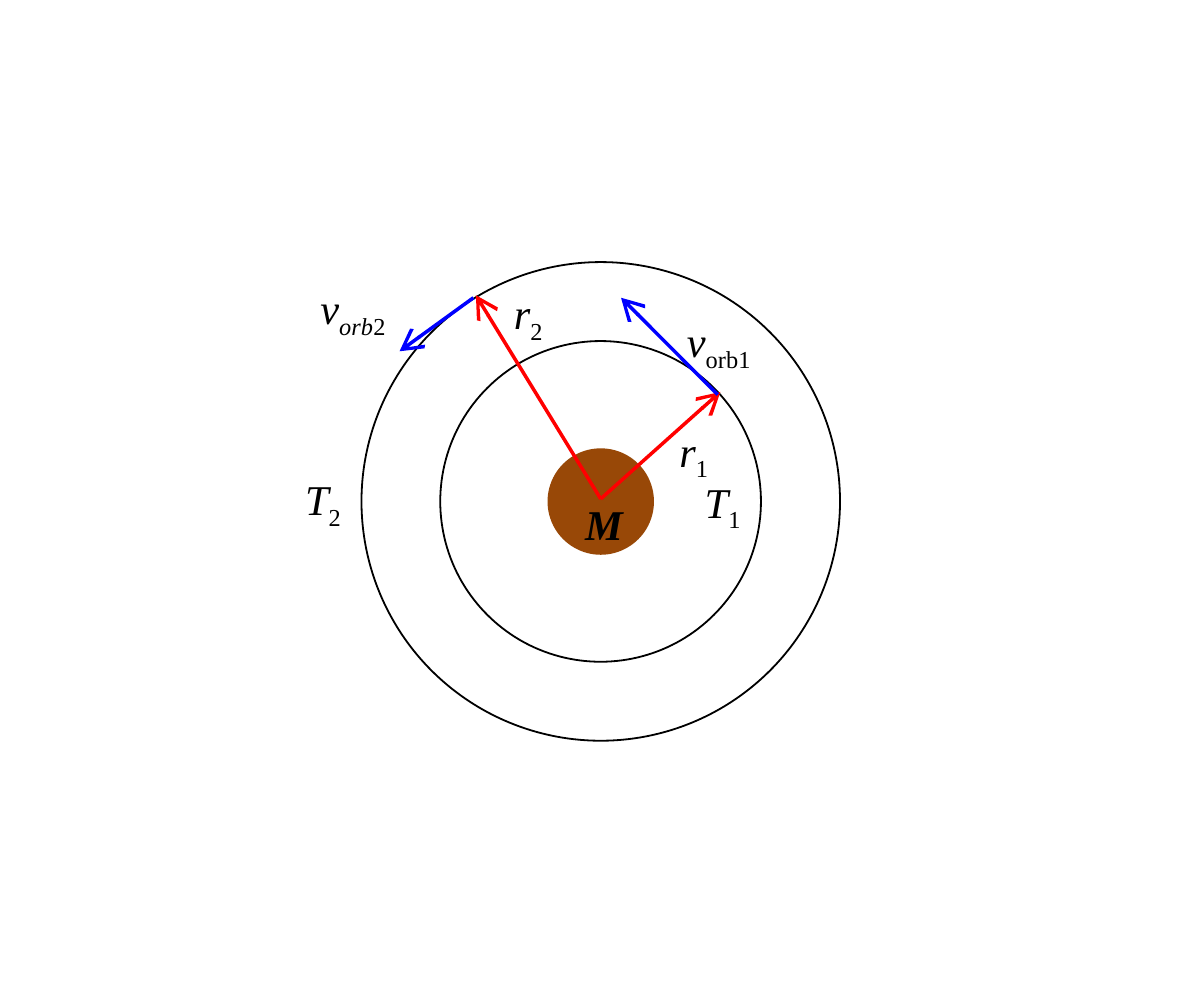
from dataclasses import dataclass

from lxml.etree import SubElement
from pptx import Presentation
from pptx.dml.color import RGBColor
from pptx.enum.shapes import MSO_CONNECTOR, MSO_SHAPE
from pptx.enum.text import MSO_AUTO_SIZE
from pptx.oxml.ns import qn
from pptx.slide import Slide
from pptx.util import Inches, Pt

COLORS = {"planet": "984807", "orbit": "000000", "text": "000000",
          "radius": "FF0000", "velocity": "0000FF"}
FONT_NAME = "Times New Roman"
CENTER = (2.36, 1.97)
LABEL_HEIGHT = 0.3


@dataclass(frozen=True)
class Circle:
    diameter: float
    color: str
    line_width: float
    filled: bool = False


@dataclass(frozen=True)
class Arrow:
    start: tuple[float, float]
    end: tuple[float, float]
    color: str


@dataclass(frozen=True)
class Label:
    left: float
    top: float
    width: float
    symbol: str
    italic_subscript: str = ""
    subscript: str = ""
    bold: bool = False


CIRCLES = [
    Circle(0.39, "planet", 2, filled=True),
    Circle(1.26, "orbit", 0.5),
    Circle(1.88, "orbit", 0.5),
]
RADIUS_ORIGIN = (2.36, 1.96)
ARROWS = [
    Arrow(RADIUS_ORIGIN, (2.83, 1.54), "radius"),
    Arrow(RADIUS_ORIGIN, (1.87, 1.16), "radius"),
    Arrow((2.82, 1.55), (2.44, 1.17), "velocity"),
    Arrow((1.86, 1.17), (1.57, 1.38), "velocity"),
]
LABELS = [
    Label(2.2, 1.91, 0.35, "M", bold=True),
    Label(2.67, 1.82, 0.35, "T", subscript="1"),
    Label(1.1, 1.81, 0.35, "T", subscript="2"),
    Label(2.57, 1.62, 0.32, "r", subscript="1"),
    Label(1.92, 1.08, 0.32, "r", subscript="2"),
    Label(2.6, 1.19, 0.48, "v", subscript="orb1"),
    Label(1.16, 1.06, 0.49, "v", "orb", "2"),
]


def color_of(name: str) -> RGBColor:
    return RGBColor.from_string(COLORS[name])


def draw_circle(slide: Slide, circle: Circle) -> None:
    left, top = (Inches(middle - circle.diameter / 2) for middle in CENTER)
    size = Inches(circle.diameter)
    shape = slide.shapes.add_shape(MSO_SHAPE.OVAL, left, top, size, size)
    shape.shadow.inherit = False
    shape.line.color.rgb = color_of(circle.color)
    shape.line.width = Pt(circle.line_width)
    if circle.filled:
        shape.fill.solid()
        shape.fill.fore_color.rgb = color_of(circle.color)
    else:
        shape.fill.background()


def draw_arrow(slide: Slide, arrow: Arrow) -> None:
    ends = (Inches(value) for value in arrow.start + arrow.end)
    connector = slide.shapes.add_connector(MSO_CONNECTOR.STRAIGHT, *ends)
    connector.line.color.rgb = color_of(arrow.color)
    connector.line.width = Pt(1)
    SubElement(connector.line._get_or_add_ln(), qn("a:tailEnd"), type="arrow")
    SubElement(connector._element.spPr, qn("a:effectLst"))


def draw_label(slide: Slide, label: Label) -> None:
    text_box = slide.shapes.add_textbox(
        Inches(label.left), Inches(label.top), Inches(label.width), Inches(LABEL_HEIGHT))
    text_frame = text_box.text_frame
    text_frame.word_wrap = False
    text_frame.auto_size = MSO_AUTO_SIZE.SHAPE_TO_FIT_TEXT
    paragraph = text_frame.paragraphs[0]
    paragraph.font.name = FONT_NAME
    paragraph.font.size = Pt(12)
    paragraph.font.bold = label.bold
    paragraph.font.color.rgb = color_of("text")
    parts = [(label.symbol, True, False),
             (label.italic_subscript, True, True),
             (label.subscript, False, True)]
    for text, italic, lowered in parts:
        if text:
            run = paragraph.add_run()
            run.text = text
            run.font.italic = italic
            if lowered:
                run.font._element.set("baseline", "-25000")


def main() -> None:
    presentation = Presentation()
    presentation.slide_width = Inches(4.73)
    presentation.slide_height = Inches(3.94)
    slide = presentation.slides.add_slide(presentation.slide_layouts[6])
    for circle in CIRCLES:
        draw_circle(slide, circle)
    for arrow in ARROWS:
        draw_arrow(slide, arrow)
    for label in LABELS:
        draw_label(slide, label)
    presentation.save("out.pptx")


main()
